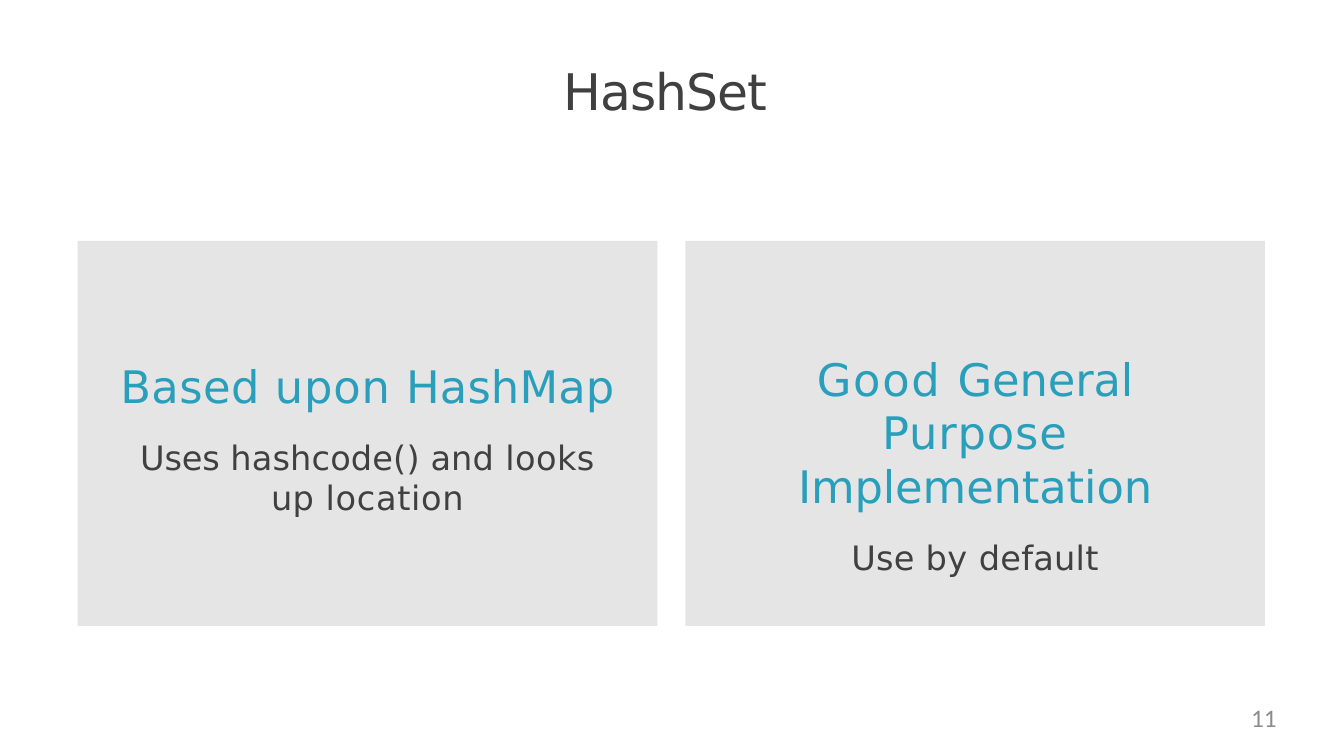
from pptx import Presentation
from pptx.dml.color import RGBColor
from pptx.enum.shapes import MSO_SHAPE
from pptx.enum.text import MSO_ANCHOR, MSO_AUTO_SIZE, PP_ALIGN
from pptx.util import Pt

RECTANGLE = MSO_SHAPE.RECTANGLE
TOP = MSO_ANCHOR.TOP
NO_AUTOFIT = MSO_AUTO_SIZE.NONE
LEFT, CENTER, RIGHT = PP_ALIGN.LEFT, PP_ALIGN.CENTER, PP_ALIGN.RIGHT
TITLE_ONLY = 5

COLORS = {"panel": "E5E5E5", "accent": "2A9FBC", "body": "404040", "number": "8C8C8C"}


class SlideBuilder:
    """Holds the text style and the current slide."""

    font = "DejaVu Sans"

    def __init__(self, presentation):
        self.slide = presentation.slides.add_slide(presentation.slide_layouts[TITLE_ONLY])

    def prepare_frame(self, shape, top_inset=0, wrap=True):
        frame = shape.text_frame
        frame.auto_size = NO_AUTOFIT
        frame.word_wrap = wrap
        frame.vertical_anchor = TOP
        frame.margin_left = frame.margin_right = frame.margin_bottom = 0
        frame.margin_top = Pt(top_inset)
        return frame

    def add_runs(self, paragraph, runs, size, color, align, font=None, side_margin=0):
        """Add (text, letter spacing in points) runs to a paragraph."""
        paragraph.alignment = align
        if side_margin:
            properties = paragraph._p.get_or_add_pPr()
            for name in ("marL", "marR"):
                properties.set(name, str(Pt(side_margin)))
        for text, spacing in runs:
            run = paragraph.add_run()
            run.text = text
            run.font.name = font or self.font
            run.font.size = Pt(size)
            run.font.color.rgb = RGBColor.from_string(COLORS[color])
            run._r.get_or_add_rPr().set("spc", str(round(spacing * 100)))

    def title(self, left, top, width, height, runs):
        shape = self.slide.shapes.title
        shape.left, shape.top = Pt(left), Pt(top)
        shape.width, shape.height = Pt(width), Pt(height)
        frame = self.prepare_frame(shape, top_inset=2, wrap=False)
        self.add_runs(frame.paragraphs[0], runs, 36, "body", LEFT)

    def panel(self, left, top, width, height, top_inset, heading, detail, line_spacing):
        shape = self.slide.shapes.add_shape(RECTANGLE, Pt(left), Pt(top), Pt(width), Pt(height))
        shape.shadow.inherit = False
        shape.fill.solid()
        shape.fill.fore_color.rgb = RGBColor.from_string(COLORS["panel"])
        shape.line.fill.background()
        frame = self.prepare_frame(shape, top_inset)
        first, second = frame.paragraphs[0], frame.add_paragraph()
        self.add_runs(first, heading, 32, "accent", CENTER, side_margin=30)
        first.line_spacing = line_spacing
        self.add_runs(second, detail, 24, "body", CENTER, side_margin=30)
        second.space_before = Pt(17.5)

    def page_number(self, left, top, width, height, number):
        shape = self.slide.shapes.add_textbox(Pt(left), Pt(top), Pt(width), Pt(height))
        frame = self.prepare_frame(shape)
        self.add_runs(frame.paragraphs[0], [(number, 0)], 18, "number", RIGHT, font="Calibri")


def main():
    presentation = Presentation()
    presentation.slide_width, presentation.slide_height = Pt(960), Pt(540)
    builder = SlideBuilder(presentation)

    # Title
    builder.title(402.5, 41, 148.5, 45.5, [("HashSet", -0.7)])

    # Two equal panels: top inset, heading, detail, heading line spacing
    panels = [
        (84,
         [("Based ", 0.3), ("upon ", 0.6), ("HashMap", 0.1)],
         [("Uses ", -0.1), ("hashcode() and ", 0.1), ("looks up ", 0.3), ("location", 0.5)],
         1.0),
        (80,
         [("Good ", 1.2), ("General ", -0.1), ("Purpose ", 0.6), ("Implementation", -0.1)],
         [("Use ", 0.1), ("by ", 0.3), ("default", 0.2)],
         Pt(37.9)),
    ]
    panel_width, gap = 414, 20
    for index, content in enumerate(panels):
        left = 55.5 + index * (panel_width + gap)
        builder.panel(left, 172, panel_width, 275, *content)

    # Page number
    builder.page_number(691, 502, 221, 27, "11")

    presentation.save("out.pptx")


if __name__ == "__main__":
    main()
